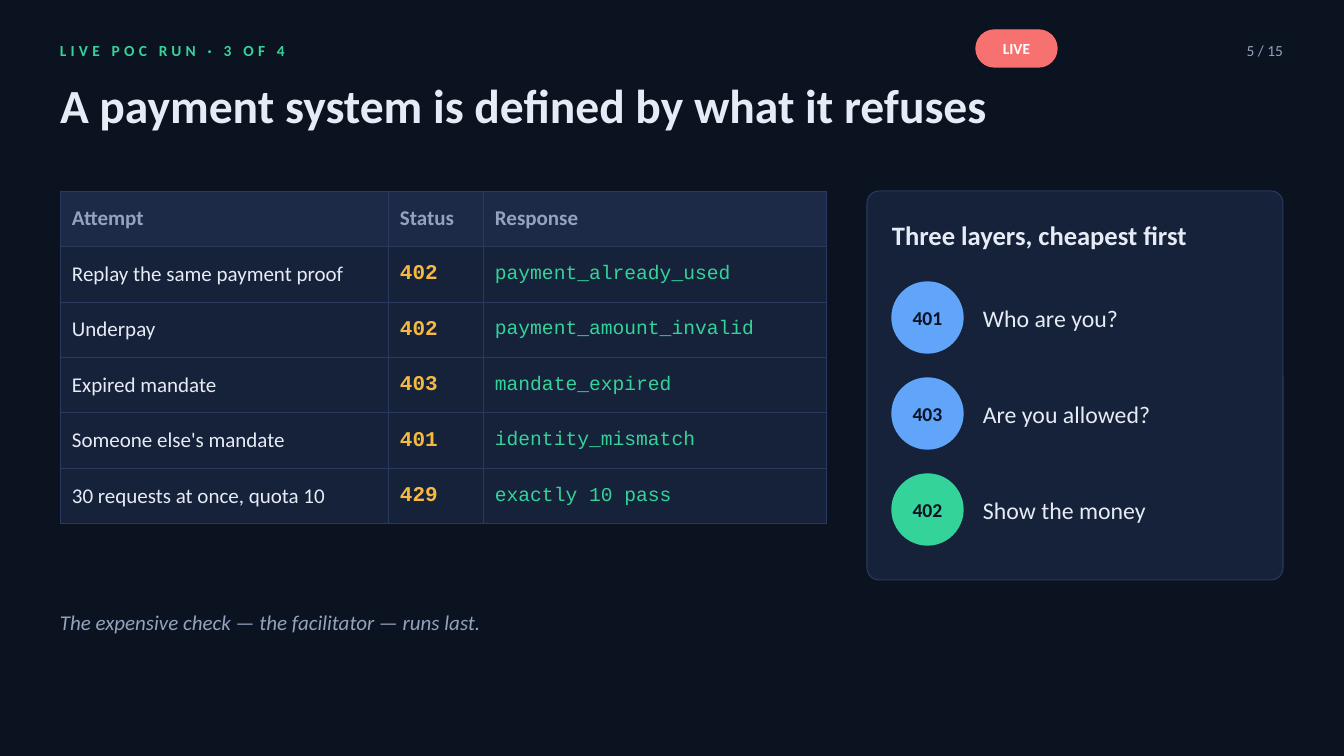
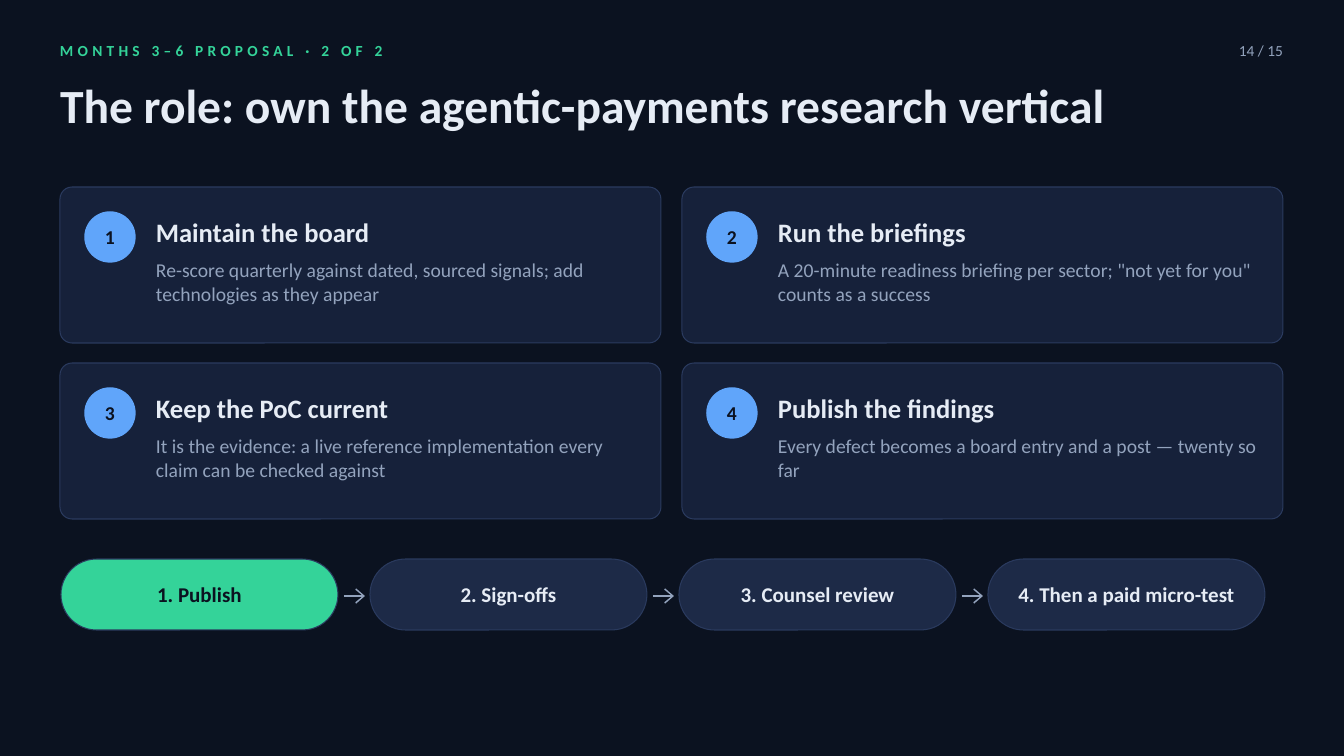
from lxml import etree
from pptx import Presentation
from pptx.dml.color import RGBColor
from pptx.enum.shapes import MSO_CONNECTOR, MSO_SHAPE
from pptx.enum.text import MSO_ANCHOR, MSO_AUTO_SIZE, PP_ALIGN
from pptx.oxml.ns import qn
from pptx.util import Emu, Pt

SCALE = 914400 / 100.8
SANS, MONO = "Calibri", "Courier New"
NIGHT = RGBColor(0x0B, 0x12, 0x20)
PANEL = RGBColor(0x16, 0x21, 0x3A)
RAISED = RGBColor(0x1D, 0x2A, 0x47)
EDGE = RGBColor(0x2A, 0x3A, 0x5E)
LIGHT = RGBColor(0xE6, 0xEC, 0xF5)
MUTED = RGBColor(0x93, 0xA3, 0xBD)
WHITE = RGBColor(0xFF, 0xFF, 0xFF)
GREEN = RGBColor(0x34, 0xD3, 0x99)
BLUE = RGBColor(0x60, 0xA5, 0xFA)
AMBER = RGBColor(0xF5, 0xB9, 0x42)
RED = RGBColor(0xF8, 0x71, 0x71)
LEFT, WIDTH = 60, 1223

ATTEMPTS = [
    ("Attempt", "Status", "Response"),
    ("Replay the same payment proof", "402", "payment_already_used"),
    ("Underpay", "402", "payment_amount_invalid"),
    ("Expired mandate", "403", "mandate_expired"),
    ("Someone else's mandate", "401", "identity_mismatch"),
    ("30 requests at once, quota 10", "429", "exactly 10 pass"),
]
HEADER_STYLE = dict(size=15, color=MUTED, bold=True)
COLUMN_STYLES = [
    dict(size=15, color=LIGHT),
    dict(size=15, color=AMBER, bold=True, font=MONO),
    dict(size=14, color=GREEN, font=MONO),
]
LAYERS = [("401", "Who are you?", BLUE), ("403", "Are you allowed?", BLUE),
          ("402", "Show the money", GREEN)]
DUTIES = [
    ("Maintain the board",
     "Re-score quarterly against dated, sourced signals; add technologies as they appear"),
    ("Run the briefings",
     'A 20-minute readiness briefing per sector; "not yet for you" counts as a success'),
    ("Keep the PoC current",
     "It is the evidence: a live reference implementation every claim can be checked against"),
    ("Publish the findings",
     "Every defect becomes a board entry and a post — twenty so far"),
]
STEPS = ["1. Publish", "2. Sign-offs", "3. Counsel review", "4. Then a paid micro-test"]


def px(*values):
    """Convert pixels to a list of EMU lengths."""
    return [Emu(round(value * SCALE)) for value in values]


def write(frame, text, size, color, bold=False, italic=False, font=SANS,
          align=PP_ALIGN.LEFT, anchor=MSO_ANCHOR.MIDDLE, spacing=0, margin=0):
    """Put one formatted run into a text frame."""
    frame.word_wrap = True
    frame.vertical_anchor = anchor
    inset, = px(margin)
    frame.margin_left = frame.margin_right = inset
    frame.margin_top = frame.margin_bottom = inset
    paragraph = frame.paragraphs[0]
    paragraph.alignment = align
    run = paragraph.add_run()
    run.text = text
    run.font.name, run.font.size = font, Pt(size)
    run.font.bold, run.font.italic = bold, italic
    run.font.color.rgb = color
    if spacing:
        run.font._element.set("spc", str(spacing * 100))


def add_text(slide, box, text, size, color, **style):
    """Add a text box."""
    write(slide.shapes.add_textbox(*px(*box)).text_frame, text, size, color, **style)


def add_block(slide, kind, box, fill, edge, edge_width, radius=None):
    """Add a flat filled shape, with a corner radius where it is rounded."""
    shape = slide.shapes.add_shape(kind, *px(*box))
    shape.shadow.inherit = False
    shape.fill.solid()
    shape.fill.fore_color.rgb = fill
    shape.line.color.rgb = edge
    shape.line.width = Pt(edge_width)
    if radius is not None:
        shape.adjustments[0] = radius / min(box[2:])
    return shape


def add_card(slide, box):
    """Add a rounded panel."""
    add_block(slide, MSO_SHAPE.ROUNDED_RECTANGLE, box, PANEL, EDGE, 0.75, 12)


def add_pill(slide, box, text, size, color, fill, edge, edge_width):
    """Add a fully rounded label."""
    pill = add_block(slide, MSO_SHAPE.ROUNDED_RECTANGLE, box, fill, edge, edge_width, box[3] / 2)
    write(pill.text_frame, text, size, color, bold=True, align=PP_ALIGN.CENTER)


def add_badge(slide, x, y, diameter, text, fill):
    """Add a circle with a short bold label."""
    badge = add_block(slide, MSO_SHAPE.OVAL, (x, y, diameter, diameter), fill, fill, 1)
    badge.text_frame.auto_size = MSO_AUTO_SIZE.NONE
    write(badge.text_frame, text, 14, NIGHT, bold=True, align=PP_ALIGN.CENTER)


def add_arrow(slide, x, y, length):
    """Add a horizontal arrow pointing right."""
    arrow = slide.shapes.add_connector(MSO_CONNECTOR.STRAIGHT, *px(x, y, x + length, y))
    arrow.line.color.rgb = MUTED
    arrow.line.width = Pt(1.25)
    etree.SubElement(arrow.line._get_or_add_ln(), qn("a:tailEnd"), type="arrow", w="lg", len="med")
    etree.SubElement(arrow._element.spPr, qn("a:effectLst"))


def add_borders(cell):
    """Draw a thin line on all four sides of a table cell."""
    properties = cell._tc.get_or_add_tcPr()
    for index, side in enumerate(("lnL", "lnR", "lnT", "lnB")):
        line = etree.Element(qn("a:" + side), w=str(Pt(0.75)))
        fill = etree.SubElement(line, qn("a:solidFill"))
        etree.SubElement(fill, qn("a:srgbClr"), val=str(EDGE))
        properties.insert(index, line)


def add_attempts_table(slide, box, widths):
    """Add the table of refused attempts."""
    table = slide.shapes.add_table(len(ATTEMPTS), len(widths), *px(*box)).table
    table.horz_banding = False
    for column, width in zip(table.columns, px(*widths)):
        column.width = width
    for r, values in enumerate(ATTEMPTS):
        for c, value in enumerate(values):
            cell = table.cell(r, c)
            cell.fill.solid()
            cell.fill.fore_color.rgb = PANEL if r else RAISED
            cell.vertical_anchor = MSO_ANCHOR.MIDDLE
            inset, = px(12)
            cell.margin_left = cell.margin_right = inset
            cell.margin_top = cell.margin_bottom = inset
            add_borders(cell)
            write_cell(cell, value, COLUMN_STYLES[c] if r else HEADER_STYLE)


def write_cell(cell, text, style):
    """Put one formatted run into a table cell."""
    run = cell.text_frame.paragraphs[0].add_run()
    run.text = text
    run.font.name = style.get("font", SANS)
    run.font.size = Pt(style["size"])
    run.font.bold = style.get("bold", False)
    run.font.color.rgb = style["color"]


def add_slide(deck, kicker, page, title):
    """Add a slide with its kicker, page number and title."""
    slide = deck.slides.add_slide(deck.slide_layouts[5])
    heading = slide.shapes.title
    heading.left, heading.top, heading.width, heading.height = px(LEFT, 76, WIDTH, 91)
    heading.text_frame.auto_size = MSO_AUTO_SIZE.NONE
    write(heading.text_frame, title, 34, LIGHT, bold=True, anchor=MSO_ANCHOR.TOP)
    add_text(slide, (LEFT, 35, 806, 30), kicker, 11, GREEN, bold=True, spacing=3)
    add_text(slide, (1132, 35, 151, 30), f"{page} / 15", 11, MUTED, align=PP_ALIGN.RIGHT)
    return slide


def build_refusals(deck):
    """Build the slide on refused payments."""
    slide = add_slide(deck, "LIVE POC RUN · 3 OF 4", 5,
                      "A payment system is defined by what it refuses")
    add_pill(slide, (976, 30, 81, 37), "LIVE", 11, WHITE, RED, RED, 1)
    add_attempts_table(slide, (LEFT, 191, 766, 333), (328, 95, 343))
    add_card(slide, (867, 191, 416, 389))
    add_text(slide, (892, 212, 373, 45), "Three layers, cheapest first", 19, LIGHT, bold=True)
    for index, (code, question, color) in enumerate(LAYERS):
        y = 282 + 96 * index
        add_badge(slide, 892, y, 71, code, color)
        add_text(slide, (983, y, 282, 71), question, 17, LIGHT)
    add_text(slide, (LEFT, 600, 1210, 45), "The expensive check — the facilitator — runs last.",
             15, MUTED, italic=True)


def build_role(deck):
    """Build the slide on the proposed role."""
    slide = add_slide(deck, "MONTHS 3–6 PROPOSAL · 2 OF 2", 14,
                      "The role: own the agentic-payments research vertical")
    for index, (name, detail) in enumerate(DUTIES):
        row, column = divmod(index, 2)
        x, y = LEFT + 622 * column, 187 + 176 * row
        add_card(slide, (x, y, 601, 156))
        add_badge(slide, x + 25, y + 25, 50, str(index + 1), BLUE)
        add_text(slide, (x + 96, y + 20, 484, 50), name, 19, LIGHT, bold=True)
        add_text(slide, (x + 96, y + 71, 484, 76), detail, 14, MUTED, anchor=MSO_ANCHOR.TOP)
    width, gap = 277, 32
    for index, step in enumerate(STEPS):
        x = LEFT + 1 + (width + gap) * index
        color, fill = (LIGHT, RAISED) if index else (NIGHT, GREEN)
        if index:
            add_arrow(slide, x - gap + 6, 596, gap - 11)
        add_pill(slide, (x, 559, width, 71), step, 15, color, fill, EDGE, 0.75)


def main():
    """Build and save the deck."""
    deck = Presentation()
    deck.slide_width, deck.slide_height = px(1344, 756)
    background = deck.slide_master.background.fill
    background.solid()
    background.fore_color.rgb = NIGHT
    build_refusals(deck)
    build_role(deck)
    deck.save("out.pptx")


main()
